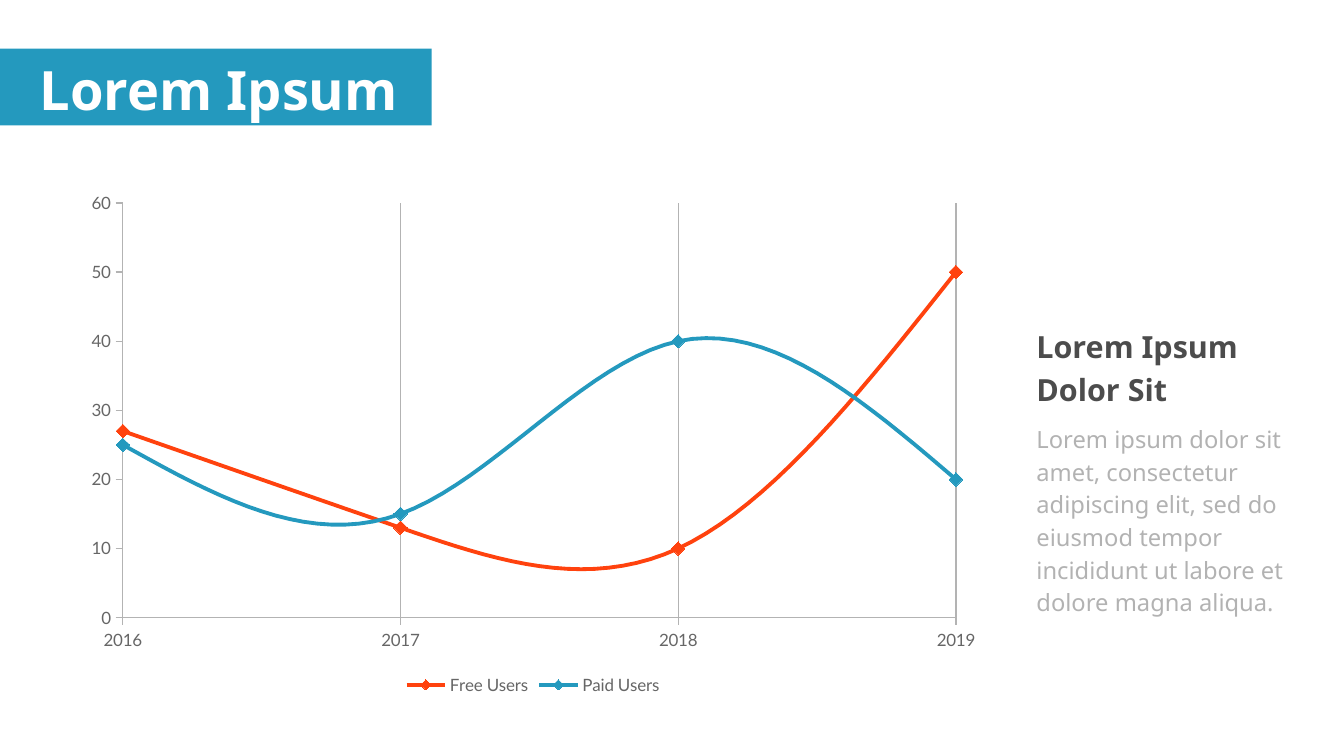
from lxml import etree
from pptx import Presentation
from pptx.chart.data import CategoryChartData
from pptx.dml.color import RGBColor
from pptx.enum.chart import XL_CHART_TYPE as ChartType
from pptx.enum.chart import XL_LEGEND_POSITION as LegendPosition
from pptx.enum.chart import XL_MARKER_STYLE as MarkerStyle
from pptx.enum.chart import XL_TICK_MARK as TickMark
from pptx.enum.shapes import MSO_SHAPE as ShapeType
from pptx.enum.text import MSO_ANCHOR as Anchor
from pptx.enum.text import MSO_AUTO_SIZE as AutoSize
from pptx.enum.text import PP_ALIGN as Align
from pptx.oxml.ns import qn
from pptx.util import Inches, Pt

COLORS = {
    "blue": "2499BE",
    "orange": "FF420E",
    "white": "FFFFFF",
    "heading": "4C4C4C",
    "black": "000000",
    "axis_text": "666666",
    "axis_line": "B3B3B3",
}


def rgb(name):
    return RGBColor.from_string(COLORS[name])


def write_text(shape, text, size, color, bold=False, align=Align.LEFT, anchor=Anchor.TOP,
               margins=(0.1, 0.05), spacing=1.0, opacity=None):
    frame = shape.text_frame
    frame.word_wrap = True
    frame.auto_size = AutoSize.NONE
    frame.vertical_anchor = anchor
    frame.margin_left = frame.margin_right = Inches(margins[0])
    frame.margin_top = frame.margin_bottom = Inches(margins[1])
    paragraph = frame.paragraphs[0]
    paragraph.alignment = align
    paragraph.line_spacing = spacing
    run = paragraph.add_run()
    run.text = text
    run.font.name = "Noto Sans"
    run.font.size = Pt(size)
    run.font.bold = bold
    run.font.color.rgb = rgb(color)
    if opacity is not None:
        color_element = run._r.find(".//" + qn("a:srgbClr"))
        etree.SubElement(color_element, qn("a:alpha"), val=str(opacity * 1000))


presentation = Presentation()
presentation.slide_width = Inches(11.02)
presentation.slide_height = Inches(6.2)
slide = presentation.slides.add_slide(presentation.slide_layouts[5])
shapes = slide.shapes

# Title on its blue band
band = shapes.add_shape(ShapeType.RECTANGLE, Inches(0), Inches(0.4), Inches(3.54), Inches(0.63))
band.shadow.inherit = False
band.fill.solid()
band.fill.fore_color.rgb = rgb("blue")
band.line.fill.background()

title = shapes.title
title.left, title.top = Inches(0.12), Inches(0.42)
title.width, title.height = Inches(3.35), Inches(0.61)
write_text(title, "Lorem Ipsum", size=32, color="white", bold=True,
           align=Align.CENTER, anchor=Anchor.MIDDLE, margins=(0, 0))
band._element.addnext(title._element)

# Side text
heading = shapes.add_textbox(Inches(8.4), Inches(2.6), Inches(2.1), Inches(0.88))
write_text(heading, "Lorem Ipsum Dolor Sit", size=18, color="heading", bold=True, spacing=1.15)

body = shapes.add_textbox(Inches(8.4), Inches(3.4), Inches(2.43), Inches(2.16))
write_text(body, "Lorem ipsum dolor sit amet, consectetur adipiscing elit, sed do eiusmod "
           "tempor incididunt ut labore et dolore magna aliqua.",
           size=14, color="black", spacing=1.15, opacity=30)

# Line chart of users per year
chart_data = CategoryChartData()
chart_data.categories = ["2016", "2017", "2018", "2019"]
chart_data.add_series("Free Users", (27, 13, 10, 50))
chart_data.add_series("Paid Users", (25, 15, 40, 20))
chart = shapes.add_chart(ChartType.LINE_MARKERS, Inches(0.6), Inches(1.5),
                         Inches(7.54), Inches(4.24), chart_data).chart
chart.has_title = False
chart.font.name = "Lato"
chart.font.size = Pt(10)
chart.font.color.rgb = rgb("axis_text")
chart.has_legend = True
chart.legend.position = LegendPosition.BOTTOM
chart.legend.include_in_layout = False
chart.plots[0].vary_by_categories = False

for series, color in zip(chart.plots[0].series, ("orange", "blue")):
    series.smooth = True
    series.format.line.color.rgb = rgb(color)
    series.format.line.width = Pt(2.27)
    marker = series.marker
    marker.style = MarkerStyle.DIAMOND
    marker.size = 8
    marker.format.fill.solid()
    marker.format.fill.fore_color.rgb = rgb(color)
    marker.format.line.color.rgb = rgb(color)

# Axes, with vertical gridlines only
category_axis, value_axis = chart.category_axis, chart.value_axis
category_axis.has_major_gridlines = True
value_axis.has_major_gridlines = False
value_axis.minimum_scale, value_axis.maximum_scale, value_axis.major_unit = 0, 60, 10
for axis in (category_axis, value_axis):
    axis.major_tick_mark = TickMark.OUTSIDE
    axis.minor_tick_mark = TickMark.NONE
for part in (category_axis, value_axis, category_axis.major_gridlines):
    part.format.line.color.rgb = rgb("axis_line")
    part.format.line.width = Pt(0)

# The first and last years sit on the edges of the plot
value_element = value_axis._element
for old in value_element.findall(qn("c:crossBetween")):
    value_element.remove(old)
cross_between = etree.Element(qn("c:crossBetween"), val="midCat")
value_element.find(qn("c:crosses")).addnext(cross_between)

# Inner plot position as fractions of the chart
plot_area = chart._chartSpace.chart.plotArea
for old in plot_area.findall(qn("c:layout")):
    plot_area.remove(old)
layout = etree.Element(qn("c:layout"))
manual = etree.SubElement(layout, qn("c:manualLayout"))
for tag, value in (("layoutTarget", "inner"), ("xMode", "edge"), ("yMode", "edge"),
                   ("x", "0.054"), ("y", "0.039"), ("w", "0.906"), ("h", "0.802")):
    etree.SubElement(manual, qn("c:" + tag), val=value)
plot_area.insert(0, layout)

presentation.save("out.pptx")
